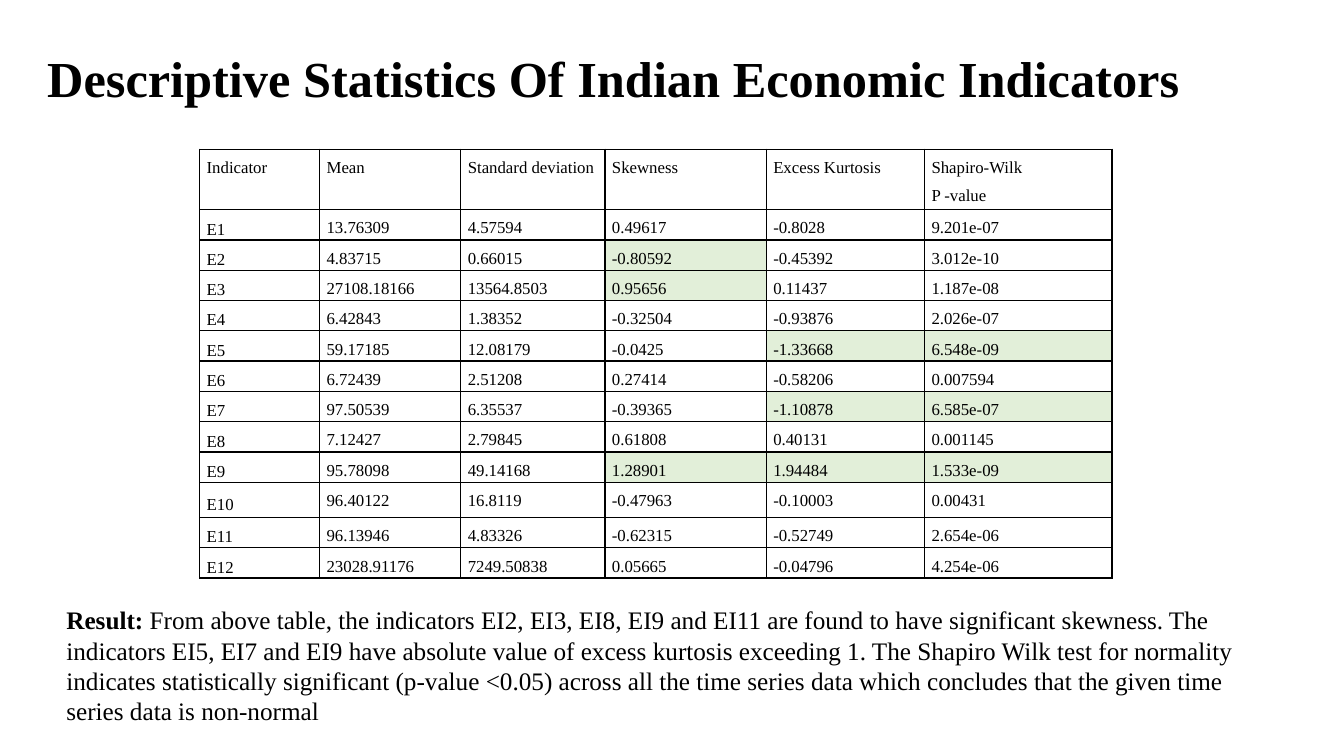
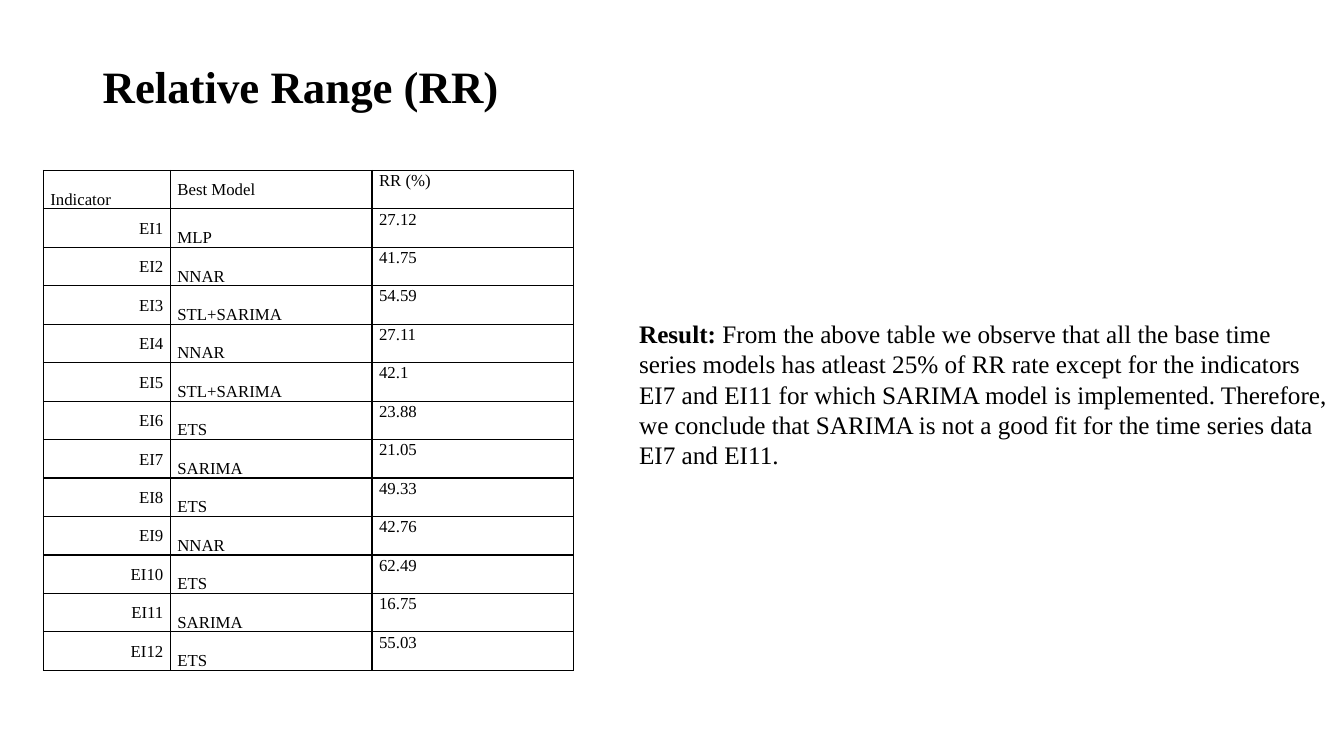
"""Build two slides on the statistics and relative range of Indian economic indicators."""
from dataclasses import dataclass

from lxml.etree import SubElement
from pptx import Presentation
from pptx.dml.color import RGBColor
from pptx.enum.text import MSO_ANCHOR, PP_ALIGN
from pptx.oxml.ns import qn
from pptx.util import Inches, Pt


@dataclass(frozen=True)
class Theme:
    font: str = "Times New Roman"
    ink: str = "000000"
    paper: str = "FFFFFF"
    highlight: str = "E2EFD9"
    body_size: int = 18
    cell_size: int = 12
    border: int = 1


THEME = Theme()
TOP, MIDDLE, BOTTOM = MSO_ANCHOR.TOP, MSO_ANCHOR.MIDDLE, MSO_ANCHOR.BOTTOM
LEFT, RIGHT, JUSTIFY = PP_ALIGN.LEFT, PP_ALIGN.RIGHT, PP_ALIGN.JUSTIFY

STATISTICS = [
    ("Indicator", "Mean", "Standard deviation", "Skewness", "Excess Kurtosis", "Shapiro-Wilk\nP -value"),
    ("E1", "13.76309", "4.57594", "0.49617", "-0.8028", "9.201e-07"),
    ("E2", "4.83715", "0.66015", "-0.80592", "-0.45392", "3.012e-10"),
    ("E3", "27108.18166", "13564.8503", "0.95656", "0.11437", "1.187e-08"),
    ("E4", "6.42843", "1.38352", "-0.32504", "-0.93876", "2.026e-07"),
    ("E5", "59.17185", "12.08179", "-0.0425", "-1.33668", "6.548e-09"),
    ("E6", "6.72439", "2.51208", "0.27414", "-0.58206", "0.007594"),
    ("E7", "97.50539", "6.35537", "-0.39365", "-1.10878", "6.585e-07"),
    ("E8", "7.12427", "2.79845", "0.61808", "0.40131", "0.001145"),
    ("E9", "95.78098", "49.14168", "1.28901", "1.94484", "1.533e-09"),
    ("E10", "96.40122", "16.8119", "-0.47963", "-0.10003", "0.00431"),
    ("E11", "96.13946", "4.83326", "-0.62315", "-0.52749", "2.654e-06"),
    ("E12", "23028.91176", "7249.50838", "0.05665", "-0.04796", "4.254e-06"),
]
RANGES = [
    ("Indicator", "Best Model", "RR (%)"),
    ("EI1", "MLP", "27.12"),
    ("EI2", "NNAR", "41.75"),
    ("EI3", "STL+SARIMA", "54.59"),
    ("EI4", "NNAR", "27.11"),
    ("EI5", "STL+SARIMA", "42.1"),
    ("EI6", "ETS", "23.88"),
    ("EI7", "SARIMA", "21.05"),
    ("EI8", "ETS", "49.33"),
    ("EI9", "NNAR", "42.76"),
    ("EI10", "ETS", "62.49"),
    ("EI11", "SARIMA", "16.75"),
    ("EI12", "ETS", "55.03"),
]
SLIDES = [
    {
        "title": ("Descriptive Statistics Of Indian Economic Indicators", 36, (0.37, 0.33, 12.5, 0.95)),
        "result": (
            "From above table, the indicators EI2, EI3, EI8, EI9 and EI11 are found to have "
            "significant skewness. The indicators EI5, EI7 and EI9 have absolute value of excess "
            "kurtosis exceeding 1. The Shapiro Wilk test for normality indicates statistically "
            "significant (p-value <0.05) across all the time series data which concludes that the "
            "given time series data is non-normal",
            (0.56, 5.95, 12.12, 1.31),
        ),
        "table": {
            "rows": STATISTICS,
            "origin": (1.98, 1.48),
            "widths": (1.19, 1.4, 1.43, 1.6, 1.57, 1.86),
            "heights": [0.57] + [0.29] * 9 + [0.35] + [0.29] * 2,
            "spacing": 1.5,
            "header": [(TOP, JUSTIFY)] * 6,
            "body": [(MIDDLE, JUSTIFY)] + [(TOP, JUSTIFY)] * 5,
            "highlights": {"E2": (3,), "E3": (3,), "E5": (4, 5), "E7": (4, 5), "E9": (3, 4, 5)},
        },
    },
    {
        "title": ("Relative Range (RR)", 32, (0.92, 0.4, 11.5, 0.97)),
        "result": (
            "From the above table we observe that all the base time series models has atleast 25% "
            "of RR rate except for the indicators EI7 and EI11 for which SARIMA model is "
            "implemented. Therefore, we conclude that SARIMA is not a good fit for the time series "
            "data EI7 and EI11.",
            (6.24, 3.11, 7.09, 1.62),
        ),
        "table": {
            "rows": RANGES,
            "origin": (0.43, 1.69),
            "widths": (1.26, 2, 2),
            "heights": [4.96 / len(RANGES)] * len(RANGES),
            "spacing": 1.07,
            "header": [(BOTTOM, LEFT), (MIDDLE, LEFT), (TOP, LEFT)],
            "body": [(MIDDLE, RIGHT), (BOTTOM, LEFT), (TOP, LEFT)],
            "highlights": {},
        },
    },
]


def set_all(target, values):
    for name, value in values.items():
        setattr(target, name, value)


def style_font(font, size, bold=False):
    set_all(font, {"name": THEME.font, "size": Pt(size), "bold": bold})
    font.color.rgb = RGBColor.from_string(THEME.ink)


def add_text(s, box, runs, size, anchor=TOP, spacing=1.0):
    tf = s.shapes.add_textbox(*map(Inches, box)).text_frame
    set_all(tf, {"word_wrap": True, "vertical_anchor": anchor})
    p = tf.paragraphs[0]
    p.line_spacing = spacing
    for text, bold in runs:
        r = p.add_run()
        r.text = text
        style_font(r.font, size, bold)


def add_borders(cell):
    tc_pr = cell._tc.get_or_add_tcPr()
    for side in ("a:lnL", "a:lnR", "a:lnT", "a:lnB"):
        line = SubElement(tc_pr, qn(side), w=str(Pt(THEME.border)))
        SubElement(SubElement(line, qn("a:solidFill")), qn("a:srgbClr"), val=THEME.ink)


def format_cell(cell, text, anchor, align, spacing, fill):
    set_all(cell, {
        "text": text, "vertical_anchor": anchor,
        "margin_left": Inches(0.07), "margin_right": Inches(0.07),
        "margin_top": 0, "margin_bottom": 0,
    })
    add_borders(cell)
    cell.fill.solid()
    cell.fill.fore_color.rgb = RGBColor.from_string(fill)
    for p in cell.text_frame.paragraphs:
        set_all(p, {"alignment": align, "line_spacing": spacing})
        for r in p.runs:
            style_font(r.font, THEME.cell_size)


def add_data_table(s, data):
    rows, widths, heights = data["rows"], data["widths"], data["heights"]
    box = (*data["origin"], sum(widths), sum(heights))
    table = s.shapes.add_table(len(rows), len(widths), *map(Inches, box)).table
    set_all(table, {"first_row": False, "horz_banding": False})
    for column, width in zip(table.columns, widths):
        column.width = Inches(width)
    for i, (row, height) in enumerate(zip(rows, heights)):
        table.rows[i].height = Inches(height)
        marked = data["highlights"].get(row[0], ())
        layout = data["body" if i else "header"]
        for j, (text, (anchor, align)) in enumerate(zip(row, layout)):
            fill = THEME.highlight if j in marked else THEME.paper
            format_cell(table.cell(i, j), text, anchor, align, data["spacing"], fill)


def main():
    prs = Presentation()
    set_all(prs, {"slide_width": Inches(13.33), "slide_height": Inches(7.5)})
    for content in SLIDES:
        s = prs.slides.add_slide(prs.slide_layouts[6])
        title, size, title_box = content["title"]
        result, result_box = content["result"]
        add_text(s, title_box, [(title, True)], size, MIDDLE, 0.9)
        add_data_table(s, content["table"])
        add_text(s, result_box, [("Result: ", True), (result, False)], THEME.body_size)
    prs.save("out.pptx")


if __name__ == "__main__":
    main()
